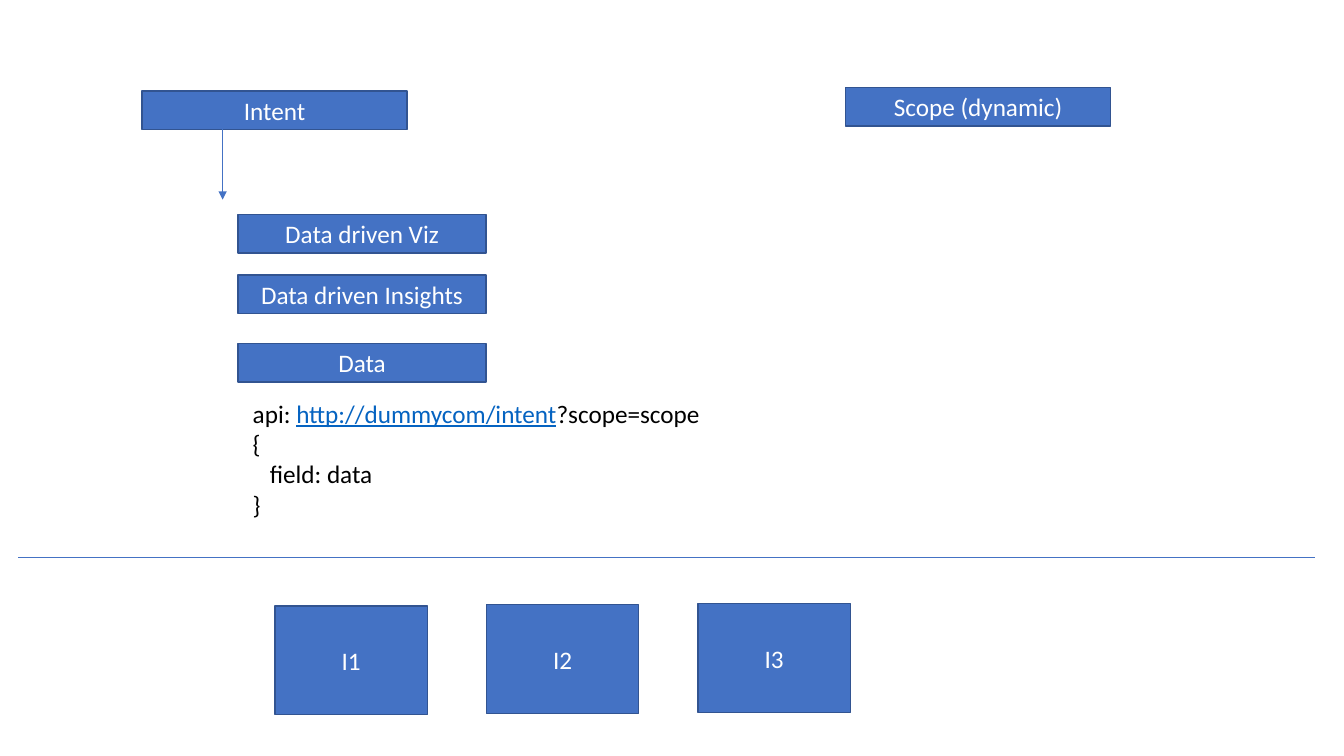
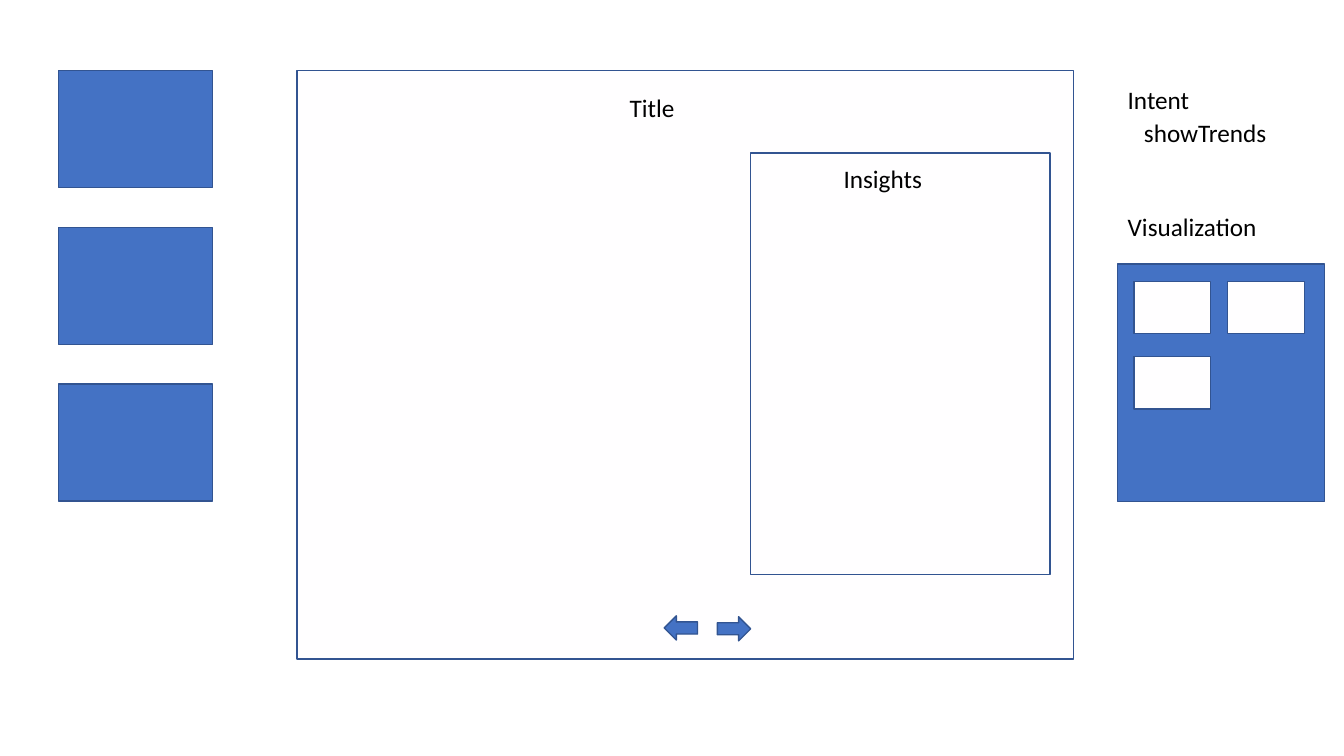
from lxml import etree
from pptx import Presentation
from pptx.dml.color import RGBColor
from pptx.enum.shapes import MSO_CONNECTOR, MSO_SHAPE
from pptx.enum.text import MSO_ANCHOR, MSO_AUTO_SIZE, PP_ALIGN
from pptx.oxml.ns import qn
from pptx.util import Cm, Pt

BLUE = RGBColor(0x44, 0x72, 0xC4)
DARK_BLUE = RGBColor(0x32, 0x54, 0x91)
PANEL_WHITE = RGBColor(0xFF, 0xFE, 0xFF)
WHITE = RGBColor(0xFF, 0xFF, 0xFF)
BLACK = RGBColor(0, 0, 0)
LINK_BLUE = RGBColor(0x05, 0x63, 0xC1)
FONT = "Calibri"
TEXT_SIZE = Pt(18)


def add_box(slide, left, top, width, height, text="", fill=BLUE, kind=MSO_SHAPE.RECTANGLE):
    shape = slide.shapes.add_shape(kind, Cm(left), Cm(top), Cm(width), Cm(height))
    shape.shadow.inherit = False
    shape.fill.solid()
    shape.fill.fore_color.rgb = fill
    shape.line.color.rgb = DARK_BLUE
    shape.line.width = Pt(1)
    if text:
        shape.text_frame.text = text
        shape.text_frame.vertical_anchor = MSO_ANCHOR.MIDDLE
        paragraph = shape.text_frame.paragraphs[0]
        paragraph.alignment = PP_ALIGN.CENTER
        font = paragraph.runs[0].font
        font.name, font.size, font.color.rgb = FONT, TEXT_SIZE, WHITE


def add_label(slide, left, top, width, height, lines):
    """Each line is a list of (text, is_link) parts."""
    text_box = slide.shapes.add_textbox(Cm(left), Cm(top), Cm(width), Cm(height))
    frame = text_box.text_frame
    frame.word_wrap = False
    frame.auto_size = MSO_AUTO_SIZE.SHAPE_TO_FIT_TEXT
    for index, parts in enumerate(lines):
        paragraph = frame.add_paragraph() if index else frame.paragraphs[0]
        for text, is_link in parts:
            run = paragraph.add_run()
            run.text = text
            run.font.name, run.font.size = FONT, TEXT_SIZE
            run.font.color.rgb = LINK_BLUE if is_link else BLACK
            run.font.underline = is_link


presentation = Presentation()
presentation.slide_width = Cm(33.87)
presentation.slide_height = Cm(19.05)
blank_layout = presentation.slide_layouts[6]

# Slide 1: intent, scope and data
slide = presentation.slides.add_slide(blank_layout)
add_box(slide, 3.58, 2.29, 6.68, 0.97, "Intent")
add_box(slide, 21.31, 2.21, 6.68, 0.97, "Scope (dynamic)")
for top, text in [(5.41, "Data driven Viz"), (6.93, "Data driven Insights"), (8.66, "Data")]:
    add_box(slide, 6, top, 6.25, 0.97, text)

# Sample request and answer
add_label(slide, 6.12, 9.91, 11.91, 3.33, [
    [("api: ", False), ("http://dummycom/intent", True), ("?scope=scope", False)],
    [("{", False)],
    [("   field: data", False)],
    [("}", False)],
])

# Intent boxes in a slightly rising row
for index in range(3):
    add_box(slide, 6.93 + 5.33 * index, 15.27 - 0.03 * index, 3.84, 2.74, f"I{index + 1}")

# Arrow below the intent, and divider
for start_x, start_y, end_x, end_y, has_head in [
    (5.61, 3.25, 5.61, 5.03, True),
    (0.46, 14.05, 33.15, 14.05, False),
]:
    connector = slide.shapes.add_connector(
        MSO_CONNECTOR.STRAIGHT, Cm(start_x), Cm(start_y), Cm(end_x), Cm(end_y))
    connector.line.color.rgb = BLUE
    connector.line.width = Pt(0.5)
    properties = connector._element.spPr
    if has_head:
        etree.SubElement(properties.find(qn("a:ln")), qn("a:tailEnd"), type="triangle")
    etree.SubElement(properties, qn("a:effectLst"))

# Slide 2: screen layout
slide = presentation.slides.add_slide(blank_layout)
for index in range(3):
    add_box(slide, 1.47, 1.78 + 3.95 * index, 3.89, 2.95)

# Main panel, insights panel and visualization palette
add_box(slide, 7.49, 1.78, 19.56, 14.83, fill=PANEL_WHITE)
add_box(slide, 18.92, 3.86, 7.54, 10.62, fill=PANEL_WHITE)
add_box(slide, 28.17, 6.65, 5.21, 5.99)
for column, row in [(0, 0), (1, 0), (0, 1)]:
    add_box(slide, 28.58 + 2.36 * column, 7.09 + 1.9 * row, 1.93, 1.32, fill=PANEL_WHITE)

# Labels
for left, top, width, text in [
    (15.62, 2.21, 1.65, "Title"),
    (21.01, 3.99, 2.51, "Insights"),
    (28.17, 2.01, 2.08, "Intent"),
    (28.58, 2.84, 3.63, "showTrends"),
    (28.17, 5.21, 3.78, "Visualization"),
]:
    add_label(slide, left, top, width, 1.02, [[(text, False)]])

# Previous and next arrows
add_box(slide, 16.74, 15.52, 0.84, 0.61, kind=MSO_SHAPE.LEFT_ARROW)
add_box(slide, 18.08, 15.54, 0.84, 0.61, kind=MSO_SHAPE.RIGHT_ARROW)

presentation.save("out.pptx")
